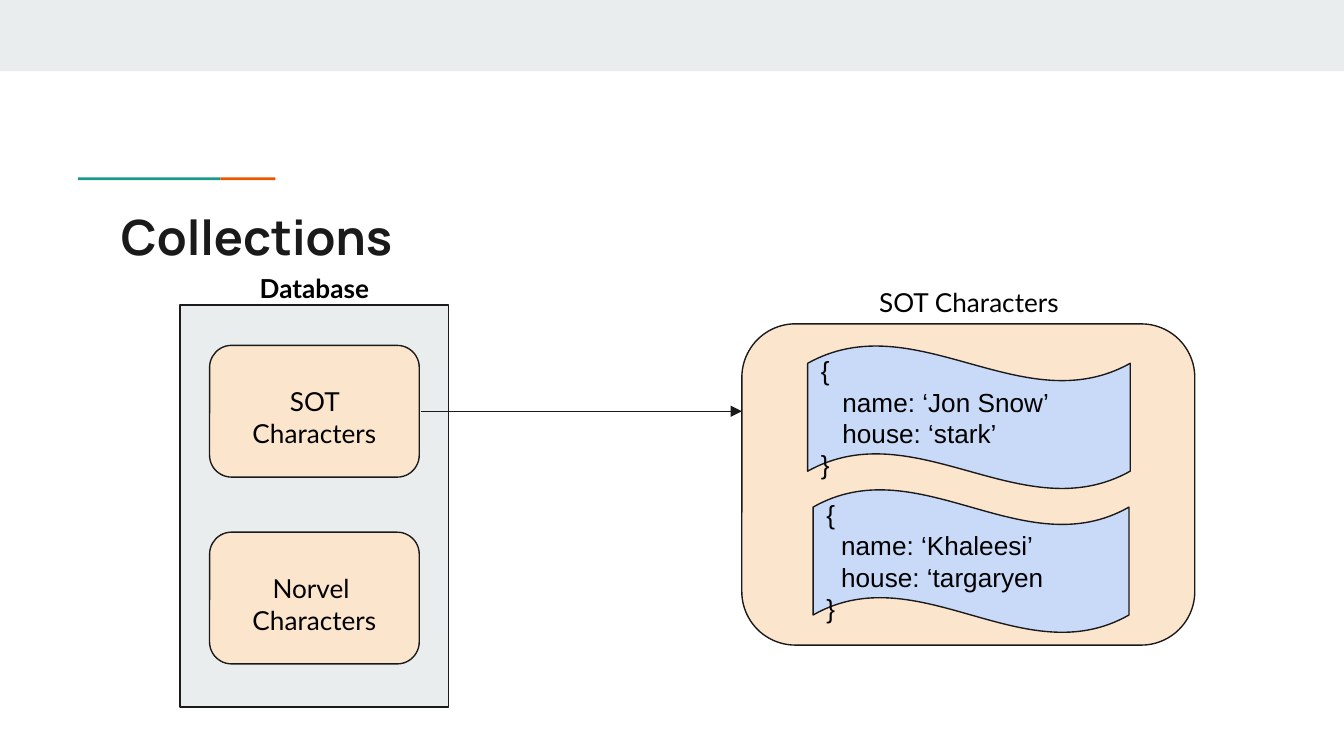
from dataclasses import dataclass

import pptx
import pptx.dml.color
import pptx.enum.shapes
import pptx.enum.text
import pptx.oxml
import pptx.oxml.ns
import pptx.util

Inches = pptx.util.Inches
Pt = pptx.util.Pt
Shape = pptx.enum.shapes.MSO_SHAPE
Align = pptx.enum.text.PP_ALIGN
Anchor = pptx.enum.text.MSO_ANCHOR


@dataclass(frozen=True)
class Theme:
    ink: str = "1A1A1A"
    text: str = "000000"
    panel: str = "E9EDEE"
    collection: str = "FCE5CD"
    document: str = "C9DAF8"
    teal: str = "1A9988"
    orange: str = "EB5600"
    title_font: str = "Manrope"
    label_font: str = "Lato"
    code_font: str = "Arial"
    title_size: float = 26
    body_size: float = 14
    code_spacing: float = 16.8
    line_width: float = 0.75
    margin: float = 0.1


@dataclass(frozen=True)
class Area:
    left: float
    top: float
    width: float
    height: float

    def lengths(self) -> tuple:
        return tuple(Inches(n) for n in (self.left, self.top, self.width, self.height))


@dataclass(frozen=True)
class Label:
    text: str
    area: Area
    bold: bool = False


@dataclass(frozen=True)
class Document:
    area: Area
    fields: tuple[str, ...]
    indent: float


THEME = Theme()
SLIDE_WIDTH = 10
SLIDE_HEIGHT = SLIDE_WIDTH * 9 / 16
COLLECTION = "SOT Characters"
COLLECTION_TOPS = (2.57, 3.96)
LABELS = (
    Label("Database", Area(1.56, 1.93, 1.56, 0.24), bold=True),
    Label(COLLECTION, Area(1.74, 2.77, 1.2, 0.59)),
    Label("Norvel \vCharacters", Area(1.74, 4.16, 1.2, 0.59)),
    Label(COLLECTION, Area(5.97, 2.03, 2.48, 0.34)),
)
DOCUMENTS = (
    Document(Area(6.01, 2.57, 2.4, 1.07), ("name: ‘Jon Snow’", "house: ‘stark’"), 0.16),
    Document(Area(6.05, 3.64, 2.35, 1.07), ("name: ‘Khaleesi’", "house: ‘targaryen"), 0.11),
)


def rgb(color: str) -> pptx.dml.color.RGBColor:
    return pptx.dml.color.RGBColor.from_string(color)


def write(shape, *lines: str, font: str = THEME.label_font, size: float = THEME.body_size,
          color: str = THEME.text, bold: bool = False, align=Align.LEFT,
          anchor=Anchor.TOP, spacing: float | None = None) -> None:
    """Write one paragraph per line into a shape, all in one format."""
    frame = shape.text_frame
    frame.word_wrap = True
    frame.auto_size = pptx.enum.text.MSO_AUTO_SIZE.NONE
    frame.vertical_anchor = anchor
    for side in ("left", "top", "right", "bottom"):
        setattr(frame, f"margin_{side}", Inches(THEME.margin))
    frame.text = "\n".join(lines)
    for para in frame.paragraphs:
        para.alignment = align
        if spacing:
            para.line_spacing = Pt(spacing)
        for span in para.runs:
            span.font.name = font
            span.font.size = Pt(size)
            span.font.bold = bold
            span.font.color.rgb = rgb(color)


def add_box(page, kind, area: Area, fill: str, outlined: bool = True):
    box = page.shapes.add_shape(kind, *area.lengths())
    box.shadow.inherit = False
    box.fill.solid()
    box.fill.fore_color.rgb = rgb(fill)
    if outlined:
        box.line.color.rgb = rgb(THEME.ink)
        box.line.width = Pt(THEME.line_width)
    else:
        box.line.fill.background()
    return box


def add_label(page, label: Label) -> None:
    box = page.shapes.add_textbox(*label.area.lengths())
    write(box, label.text, bold=label.bold, align=Align.CENTER)


def add_document(page, document: Document) -> None:
    box = add_box(page, Shape.WAVE, document.area, THEME.document)
    write(box, "{", *document.fields, "}", font=THEME.code_font,
          anchor=Anchor.MIDDLE, spacing=THEME.code_spacing)
    for para in box.text_frame.paragraphs[1:-1]:
        para._p.get_or_add_pPr().set("marL", str(Inches(document.indent)))


def add_arrow(page, left: float, right: float, y: float) -> None:
    arrow = page.shapes.add_connector(
        pptx.enum.shapes.MSO_CONNECTOR.STRAIGHT,
        Inches(left), Inches(y), Inches(right), Inches(y))
    arrow.line.color.rgb = rgb(THEME.ink)
    arrow.line.width = Pt(THEME.line_width)
    head = pptx.oxml.parse_xml(
        f'<a:tailEnd {pptx.oxml.ns.nsdecls("a")} type="triangle" w="med" len="med"/>')
    arrow.line._get_or_add_ln().append(head)
    arrow._element.spPr.append(
        pptx.oxml.parse_xml(f'<a:effectLst {pptx.oxml.ns.nsdecls("a")}/>'))


def main() -> None:
    deck = pptx.Presentation()
    deck.slide_width, deck.slide_height = Inches(SLIDE_WIDTH), Inches(SLIDE_HEIGHT)
    page = deck.slides.add_slide(deck.slide_layouts.get_by_name("Title Only"))

    add_box(page, Shape.RECTANGLE, Area(0, 0, SLIDE_WIDTH, 0.53), THEME.panel, outlined=False)
    add_box(page, Shape.RECTANGLE, Area(0.58, 1.32, 1.06, 0.02), THEME.teal, outlined=False)
    add_box(page, Shape.RECTANGLE, Area(1.64, 1.32, 0.41, 0.02), THEME.orange, outlined=False)

    title = page.shapes.title
    title.left, title.top, title.width, title.height = Area(0.8, 1.44, 8.41, 0.59).lengths()
    write(title, "Collections", font=THEME.title_font, size=THEME.title_size,
          color=THEME.ink, bold=True)

    add_box(page, Shape.RECTANGLE, Area(1.34, 2.27, 2, 2.99), THEME.panel)
    for top in COLLECTION_TOPS:
        add_box(page, Shape.ROUNDED_RECTANGLE, Area(1.56, top, 1.56, 0.98), THEME.collection)
    add_arrow(page, 3.13, 5.52, 3.06)
    add_box(page, Shape.ROUNDED_RECTANGLE, Area(5.52, 2.41, 3.37, 2.39), THEME.collection)
    for document in DOCUMENTS:
        add_document(page, document)
    for label in LABELS:
        add_label(page, label)

    deck.save("out.pptx")


if __name__ == "__main__":
    main()
